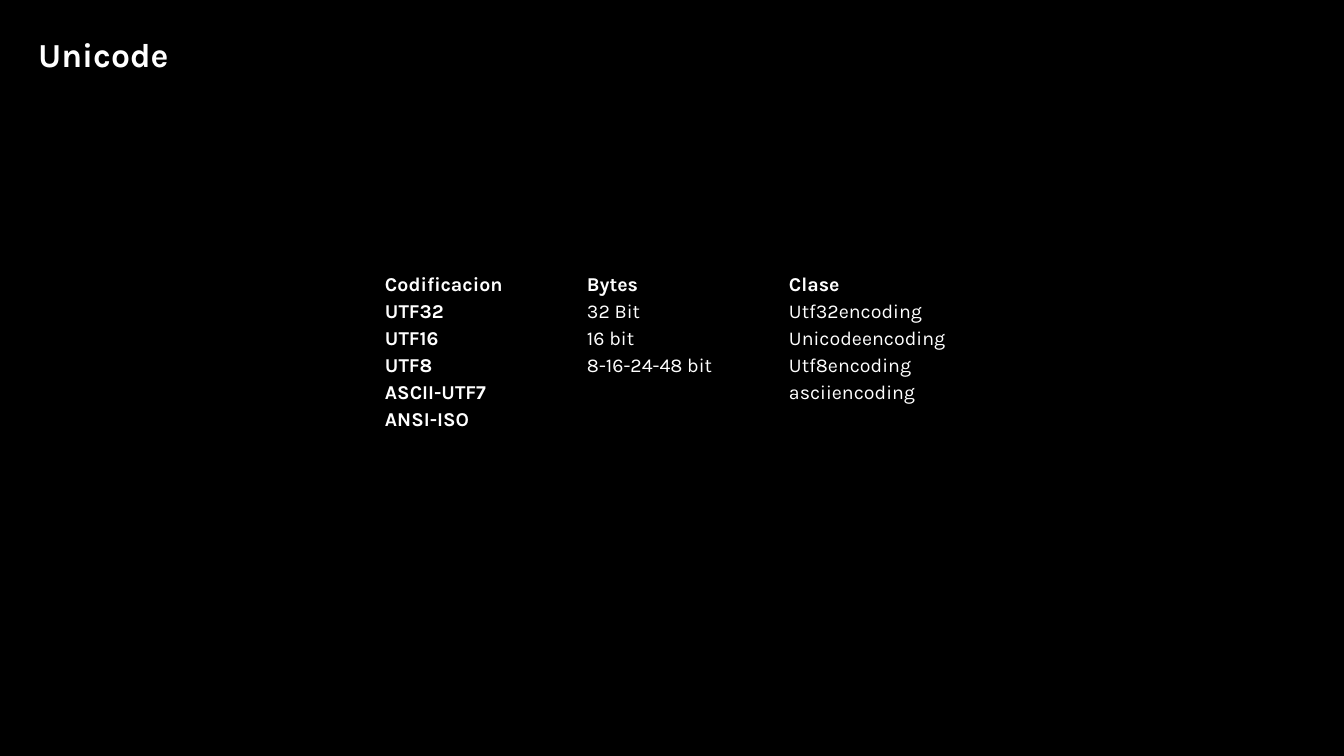
from dataclasses import dataclass

from pptx import Presentation
from pptx.dml.color import RGBColor
from pptx.enum.text import MSO_ANCHOR as Anchor, MSO_AUTO_SIZE as AutoSize, PP_ALIGN as Align
from pptx.oxml.ns import qn
from pptx.util import Emu, Pt


@dataclass(frozen=True)
class Theme:
    font: str = "Karla"
    background: RGBColor = RGBColor(0, 0, 0)
    text: RGBColor = RGBColor(255, 255, 255)
    title_size: int = 24
    cell_size: int = 14
    line_spacing: float = 1.15
    plain_table: str = "{2D5ABB26-0587-4C30-8999-92F81FD0307C}"


def px(length):
    return Emu(round(length * 914400 / 100.8))


class SlideBuilder:
    def __init__(self, slide, theme):
        self.slide = slide
        self.theme = theme
        slide.background.fill.solid()
        slide.background.fill.fore_color.rgb = theme.background

    def add_run(self, paragraph, text, size, bold):
        run = paragraph.add_run()
        run.text = text
        run.font.name = self.theme.font
        run.font.size = Pt(size)
        run.font.bold = bold
        run.font.color.rgb = self.theme.text

    def title(self, text, left, top, width, height):
        heading = self.slide.shapes.title
        heading.left, heading.top = px(left), px(top)
        heading.width, heading.height = px(width), px(height)
        frame = heading.text_frame
        frame.word_wrap = False
        frame.auto_size = AutoSize.SHAPE_TO_FIT_TEXT
        frame.vertical_anchor = Anchor.TOP
        frame.paragraphs[0].alignment = Align.LEFT
        self.add_run(frame.paragraphs[0], text, self.theme.title_size, True)

    def cell(self, cell, text, bold):
        cell.fill.background()
        cell.margin_left = cell.margin_right = 0
        cell.margin_top = cell.margin_bottom = 0
        paragraph = cell.text_frame.paragraphs[0]
        paragraph.line_spacing = self.theme.line_spacing
        if text:
            self.add_run(paragraph, text, self.theme.cell_size, bold)
        else:
            # An empty cell keeps the row height through its end-of-paragraph size
            end = paragraph._p.get_or_add_endParaRPr()
            end.set("sz", str(self.theme.cell_size * 100))

    def table(self, rows, left, top, column_width, row_height):
        columns = len(rows[0])
        frame = self.slide.shapes.add_table(
            len(rows), columns, px(left), px(top),
            px(column_width * columns), px(row_height * len(rows)))
        table = frame.table
        table.horz_banding = False
        table._tbl.tblPr.find(qn("a:tableStyleId")).text = self.theme.plain_table
        for column in table.columns:
            column.width = px(column_width)
        for r, row in enumerate(rows):
            table.rows[r].height = px(row_height)
            for c, text in enumerate(row):
                # Header row and first column are bold
                self.cell(table.cell(r, c), text, bold=r == 0 or c == 0)


ENCODINGS = [
    ("Codificacion", "Bytes", "Clase"),
    ("UTF32", "32 Bit", "Utf32encoding"),
    ("UTF16", "16 bit", "Unicodeencoding"),
    ("UTF8", "8-16-24-48 bit", "Utf8encoding"),
    ("ASCII-UTF7", "", "asciiencoding"),
    ("ANSI-ISO", "", ""),
]


def main():
    deck = Presentation()
    deck.slide_width, deck.slide_height = px(1344), px(756)
    title_only = deck.slide_layouts[5]
    builder = SlideBuilder(deck.slides.add_slide(title_only), Theme())

    # Heading
    builder.title("Unicode", left=28, top=29, width=161, height=50)

    # Encodings with their sizes and classes
    builder.table(ENCODINGS, left=385, top=270, column_width=202, row_height=27)

    deck.save("out.pptx")


if __name__ == "__main__":
    main()
